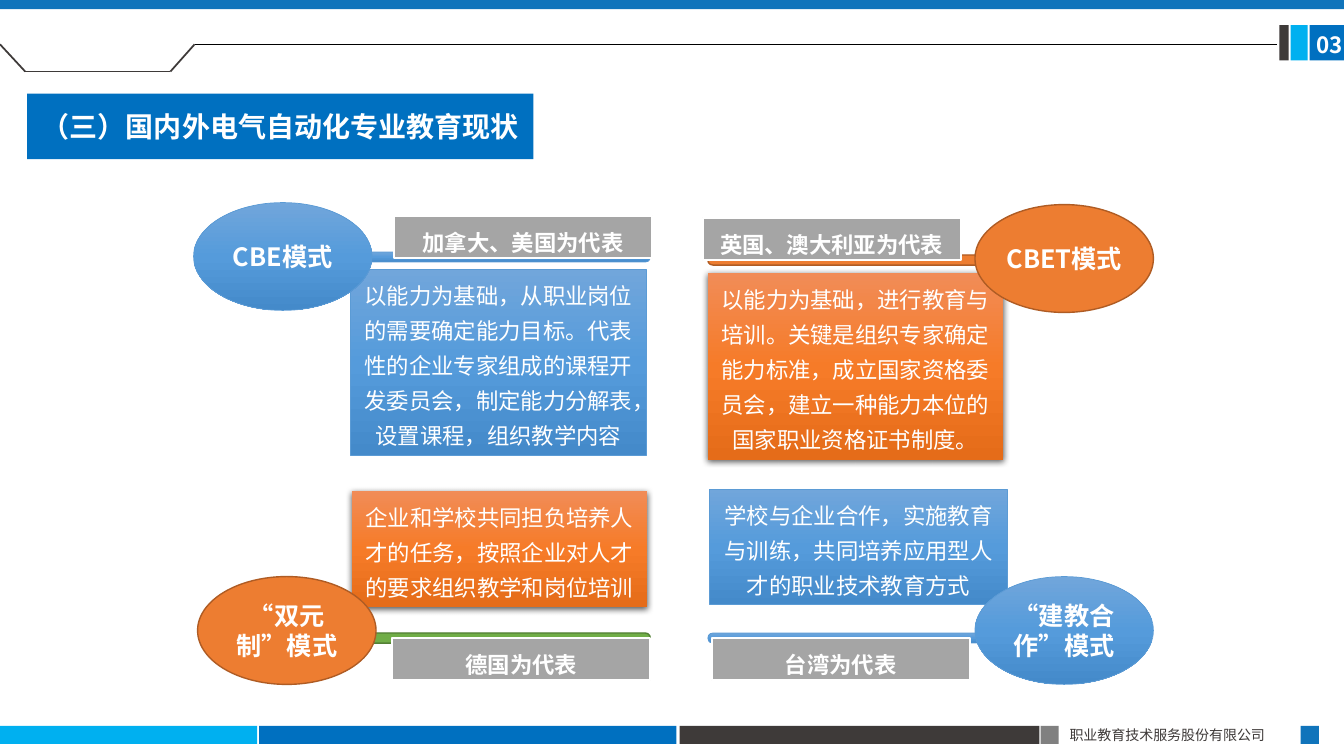
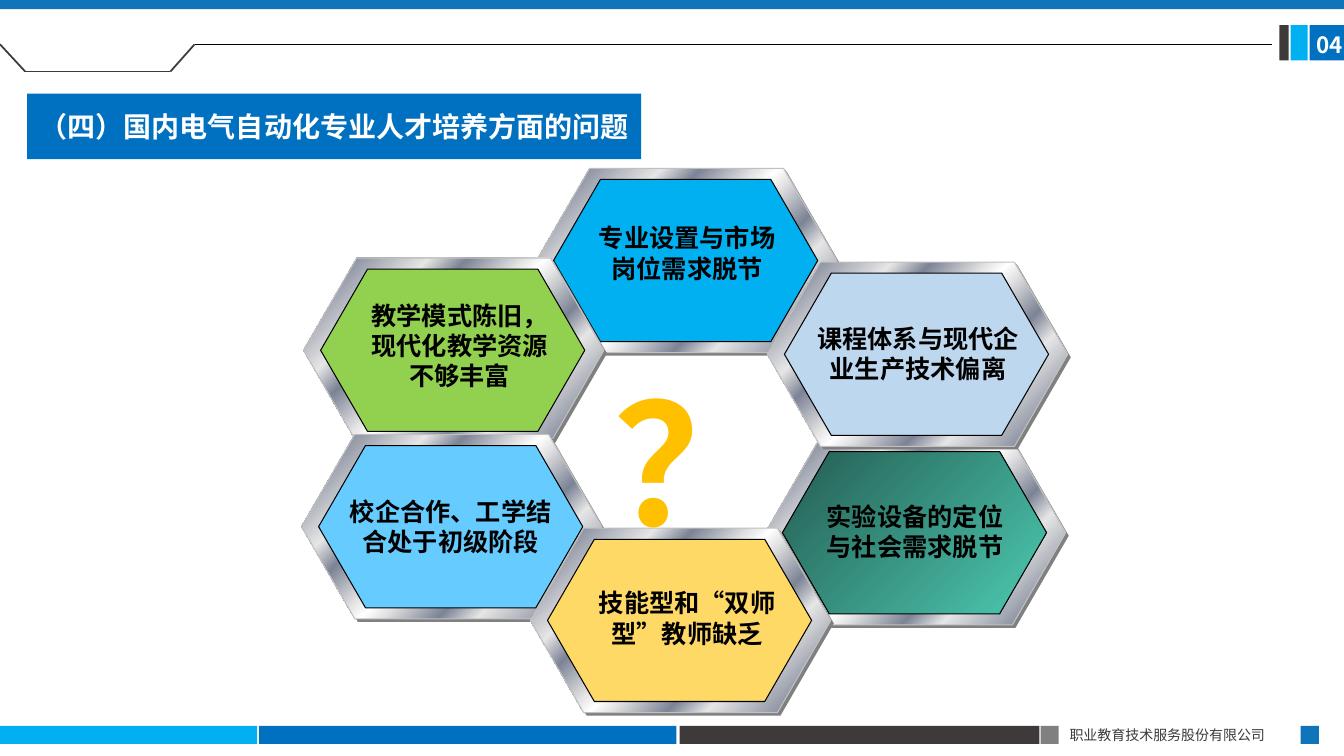
"""Build two slides on electrical automation education: training models and open problems."""
import lxml.etree
import pptx
import pptx.dml.color
import pptx.enum.shapes
import pptx.enum.text
import pptx.oxml.ns
import pptx.util

Inches = pptx.util.Inches
Pt = pptx.util.Pt
RGBColor = pptx.dml.color.RGBColor
Shapes = pptx.enum.shapes.MSO_SHAPE
Align = pptx.enum.text.PP_ALIGN
Anchor = pptx.enum.text.MSO_ANCHOR
qn = pptx.oxml.ns.qn

FONT = "Noto Sans CJK SC"
TITLE_FONT = "Calibri"
WHITE = RGBColor(0xFF, 0xFF, 0xFF)
BLACK = RGBColor(0x00, 0x00, 0x00)
CHARCOAL = RGBColor(0x3E, 0x3A, 0x39)
GRAY = RGBColor(0x80, 0x80, 0x80)
LABEL_GRAY = RGBColor(0xA5, 0xA5, 0xA5)
RIM_GRAY = RGBColor(0xC0, 0xC0, 0xC0)
BLUE = RGBColor(0x00, 0x70, 0xC0)
BAND_BLUE = RGBColor(0x10, 0x74, 0xBB)
CYAN = RGBColor(0x00, 0xB0, 0xF0)
SOFT_BLUE = RGBColor(0x5B, 0x9B, 0xD5)
ORANGE = RGBColor(0xED, 0x7D, 0x31)
DARK_ORANGE = RGBColor(0xAF, 0x5C, 0x24)
GREEN = RGBColor(0x70, 0xAD, 0x47)
DARK_GREEN = RGBColor(0x53, 0x80, 0x35)
LIME = RGBColor(0x92, 0xD0, 0x50)
PALE_BLUE = RGBColor(0xBD, 0xD7, 0xEE)
SKY = RGBColor(0x66, 0xCC, 0xFF)
YELLOW = RGBColor(0xFF, 0xD9, 0x66)
AMBER = RGBColor(0xFF, 0xC0, 0x00)
STEEL = RGBColor(0x7D, 0x84, 0x96)
SILVER = RGBColor(0xE6, 0xE6, 0xE6)


def vertical_gradient(top, middle, bottom):
    """Return a three-stop gradient running downwards."""
    stops = zip((0, 50, 100), (top, middle, bottom))
    return 90, [(position, RGBColor.from_string(color)) for position, color in stops]


BLUE_GRADIENT = vertical_gradient("71A6DB", "559BDB", "448ACA")
ORANGE_GRADIENT = vertical_gradient("F18C57", "F67B28", "E56C19")
TEAL_GRADIENT = (45, [(0, RGBColor(0x24, 0x5D, 0x52)), (100, RGBColor(0x4D, 0xC9, 0xB1))])
HALF_METAL = [(0, SILVER), (8, STEEL), (26, SILVER), (34, STEEL), (46, SILVER)]
MIRRORED_METAL = [(100 - position, color) for position, color in reversed(HALF_METAL)]
METAL_GRADIENT = (45, HALF_METAL + [(50, WHITE)] + MIRRORED_METAL)

BLUE_STYLE = (BLUE_GRADIENT, (SOFT_BLUE, 0.5))
ORANGE_STYLE = (ORANGE, (DARK_ORANGE, 1))
GREEN_STYLE = (GREEN, (DARK_GREEN, 1))

COMPANY = "职业教育技术服务股份有限公司"
FRAME_BLOCKS = [
    ((0, 7.2, 2.55, 0.18), CYAN),
    ((2.57, 7.2, 4.14, 0.18), BLUE),
    ((6.74, 7.2, 3.57, 0.18), CHARCOAL),
    ((10.32, 7.2, 0.18, 0.18), GRAY),
    ((12.9, 7.2, 0.18, 0.18), BAND_BLUE),
    ((12.99, 0.25, 0.35, 0.35), BLUE),
    ((12.8, 0.25, 0.17, 0.35), CYAN),
    ((12.69, 0.25, 0.09, 0.35), CHARCOAL),
    ((0, 0, 13.33, 0.09), BAND_BLUE),
]
TAB_POINTS = [(0, 0.44), (0.25, 0.71), (1.69, 0.71), (1.93, 0.44)]

MODELS = [
    {"name": "CBE模式", "oval": (1.92, 2.01), "style": BLUE_STYLE,
     "label": "加拿大、美国为代表", "label_at": (3.91, 2.14),
     "bar": (3.23, 2.5), "bar_style": BLUE_STYLE,
     "body": "以能力为基础，从职业岗位的需要确定能力目标。代表性的企业专家组成的课程开发委员会，"
             "制定能力分解表，设置课程，组织教学内容",
     "body_box": (3.48, 2.67, 2.93, 1.85), "raised": False},
    {"name": "CBET模式", "oval": (9.67, 2.03), "style": ORANGE_STYLE,
     "label": "英国、澳大利亚为代表", "label_at": (6.97, 2.16),
     "bar": (7.02, 2.53), "bar_style": ORANGE_STYLE,
     "body": "以能力为基础，进行教育与培训。关键是组织专家确定能力标准，成立国家资格委员会，"
             "建立一种能力本位的国家职业资格证书制度。",
     "body_box": (7.02, 2.71, 2.93, 1.85), "raised": True},
    {"name": "“双元制”模式", "oval": (1.96, 5.72), "style": ORANGE_STYLE,
     "label": "德国为代表", "label_at": (3.89, 6.33),
     "bar": (3.23, 6.28), "bar_style": GREEN_STYLE,
     "body": "企业和学校共同担负培养人才的任务，按照企业对人才的要求组织教学和岗位培训",
     "body_box": (3.49, 4.87, 2.93, 1.15), "raised": True},
    {"name": "“建教合作”模式", "oval": (9.67, 5.72), "style": BLUE_STYLE,
     "label": "台湾为代表", "label_at": (7.06, 6.33),
     "bar": (7.02, 6.28), "bar_style": BLUE_STYLE,
     "body": "学校与企业合作，实施教育与训练，共同培养应用型人才的职业技术教育方式",
     "body_box": (7.04, 4.85, 2.95, 1.15), "raised": False},
]

PROBLEMS = [
    ("实验设备的定位与社会需求脱节", (7.59, 4.37), TEAL_GRADIENT, (8.04, 4.92, 2.07, 0.71)),
    ("专业设置与市场岗位需求脱节", (5.32, 1.67), CYAN, (5.78, 2.16, 2.07, 0.71)),
    ("教学模式陈旧，现代化教学资源不够丰富", (3.01, 2.56), LIME, (3.47, 2.93, 2.18, 1.01)),
    ("课程体系与现代企业生产技术偏离", (7.61, 2.6), PALE_BLUE, (7.96, 3.16, 2.29, 0.71)),
    ("校企合作、工学结合处于初级阶段", (2.99, 4.31), SKY, (3.35, 4.87, 2.24, 0.71)),
    ("技能型和“双师型”教师缺乏", (5.26, 5.24), YELLOW, (5.78, 5.78, 2.07, 0.71)),
]
HEXAGON_SIZE = (2.98, 1.83)
FACE_SIZE = (2.62, 1.61)


def inches(values):
    """Convert numbers to lengths."""
    return [Inches(value) for value in values]


def apply_fill(shape, fill):
    """Fill with a colour, or with an (angle, stops) gradient."""
    if isinstance(fill, RGBColor):
        shape.fill.solid()
        shape.fill.fore_color.rgb = fill
        return
    angle, stops = fill
    shape.fill.gradient()
    shape.fill.gradient_angle = 360 - angle
    stop_list = shape.element.spPr.find(qn("a:gradFill")).find(qn("a:gsLst"))
    for stop in list(stop_list):
        stop_list.remove(stop)
    for position, color in stops:
        stop = lxml.etree.SubElement(stop_list, qn("a:gs"), pos=str(position * 1000))
        lxml.etree.SubElement(stop, qn("a:srgbClr"), val=str(color))


def add_shape(slide, kind, box, fill, line=None):
    """Add a preset shape without theme effects."""
    shape = slide.shapes.add_shape(kind, *inches(box))
    shape.shadow.inherit = False
    apply_fill(shape, fill)
    if line:
        shape.line.color.rgb = line[0]
        shape.line.width = Pt(line[1])
    else:
        shape.line.fill.background()
    return shape


def add_drop_shadow(shape):
    """Give the shape a soft shadow below it."""
    effects = shape.element.spPr.find(qn("a:effectLst"))
    shadow = lxml.etree.SubElement(
        effects, qn("a:outerShdw"), blurRad=str(Pt(4.5)), dist=str(Pt(1.5)),
        dir="5400000", algn="ctr", rotWithShape="0")
    color = lxml.etree.SubElement(shadow, qn("a:srgbClr"), val=str(BLACK))
    lxml.etree.SubElement(color, qn("a:alpha"), val="63000")


def add_line(slide, start, end, color, width):
    """Add a straight line between two points."""
    line = slide.shapes.add_connector(
        pptx.enum.shapes.MSO_CONNECTOR.STRAIGHT, *inches(start + end))
    line.line.color.rgb = color
    line.line.width = Pt(width)
    lxml.etree.SubElement(line.element.spPr, qn("a:effectLst"))


def write(shape, text, size, color=WHITE, bold=False, align=Align.CENTER,
          anchor=Anchor.TOP, spacing=None, font=FONT):
    """Write one formatted paragraph into the shape and return its run."""
    frame = shape.text_frame
    frame.word_wrap = True
    frame.vertical_anchor = anchor
    frame.text = text
    paragraph = frame.paragraphs[0]
    paragraph.alignment = align
    if spacing:
        paragraph.line_spacing = spacing
    run = paragraph.runs[0]
    run.font.size = Pt(size)
    run.font.bold = bold
    run.font.color.rgb = color
    run.font.name = font
    lxml.etree.SubElement(run.font._element, qn("a:ea"), typeface=FONT)
    return run


def add_text(slide, box, text, size, **style):
    """Add a text box and return its shape and run."""
    shape = slide.shapes.add_textbox(*inches(box))
    return shape, write(shape, text, size, **style)


def add_framed_slide(presentation, number, title, title_width, rule_end):
    """Add a slide with the shared bands, tab line, number, footer and title."""
    slide = presentation.slides.add_slide(presentation.slide_layouts[6])
    for box, color in FRAME_BLOCKS:
        add_shape(slide, Shapes.RECTANGLE, box, color)
    for start, end in zip(TAB_POINTS, TAB_POINTS[1:]):
        add_line(slide, start, end, CHARCOAL, 1.25)
    add_line(slide, TAB_POINTS[-1], (rule_end, 0.44), BLACK, 0.5)
    add_text(slide, (10.51, 7.16, 2.4, 0.27), COMPANY, 10, color=CHARCOAL, align=Align.JUSTIFY)
    add_text(slide, (12.96, 0.26, 0.5, 0.37), number, 16, bold=True, align=Align.LEFT)
    banner = add_shape(slide, Shapes.RECTANGLE, (0.27, 0.93, title_width, 0.65), BLUE)
    write(banner, title, 20, bold=True, anchor=Anchor.MIDDLE, font=TITLE_FONT)
    return slide


def add_model(slide, model):
    """Add one training model: description, bar, country label and name."""
    if model["raised"]:
        body = add_shape(slide, Shapes.RECTANGLE, model["body_box"], ORANGE_GRADIENT)
        add_drop_shadow(body)
    else:
        body = add_shape(slide, Shapes.RECTANGLE, model["body_box"], *BLUE_STYLE)
    write(body, model["body"], 16, spacing=1.3)
    bar = add_shape(slide, Shapes.ROUNDED_RECTANGLE, model["bar"] + (3.22, 0.1),
                    *model["bar_style"])
    bar.adjustments[0] = 0.5
    label = add_shape(slide, Shapes.RECTANGLE, model["label_at"] + (2.56, 0.42),
                      LABEL_GRAY, (WHITE, 1.5))
    write(label, model["label"], 16, bold=True, spacing=1.3)
    oval = add_shape(slide, Shapes.OVAL, model["oval"] + (1.77, 1.07), *model["style"])
    frame = oval.text_frame
    frame.margin_left = frame.margin_right = frame.margin_top = frame.margin_bottom = 0
    write(oval, model["name"], 18, bold=True, anchor=Anchor.MIDDLE)


def add_hexagon(slide, left, top, face):
    """Add a metal-rimmed hexagon with its shade and coloured face."""
    layers = [
        (0.03, 0.03, HEXAGON_SIZE, GRAY, None),
        (0, 0, HEXAGON_SIZE, METAL_GRADIENT, (RIM_GRAY, 0.75)),
        (0.17, 0.11, FACE_SIZE, face, (BLACK, 0.75)),
    ]
    for shift_x, shift_y, size, fill, line in layers:
        box = (left + shift_x, top + shift_y) + size
        hexagon = add_shape(slide, Shapes.HEXAGON, box, fill, line)
        hexagon.adjustments[0] = 0.289


def main():
    """Build and save the presentation."""
    presentation = pptx.Presentation()
    presentation.slide_width = Inches(13.33)
    presentation.slide_height = Inches(7.5)

    slide = add_framed_slide(presentation, "03", "（三）国内外电气自动化专业教育现状", 5.02, 12.67)
    for model in MODELS:
        add_model(slide, model)

    slide = add_framed_slide(
        presentation, "04", "（四）国内电气自动化专业人才培养方面的问题", 6.09, 12.62)
    for text, position, face, text_box in PROBLEMS:
        add_hexagon(slide, *position, face)
    for text, position, face, text_box in PROBLEMS:
        add_text(slide, text_box, text, 18, color=BLACK, bold=True)
    question, run = add_text(slide, (5.96, 3.51, 1.91, 2.12), "？", 120, color=AMBER, bold=True)
    question.text_frame.word_wrap = False
    run.font._element.set("spc", "150")

    presentation.save("out.pptx")


if __name__ == "__main__":
    main()
